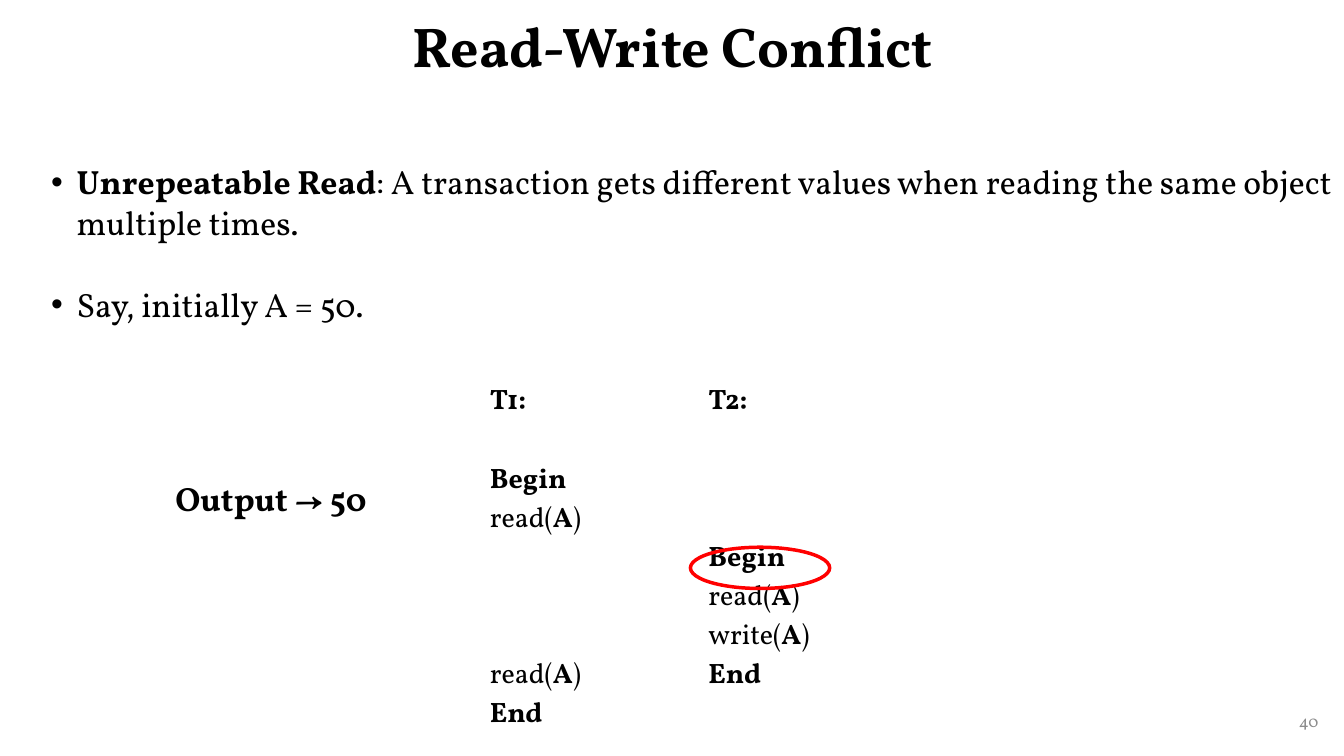
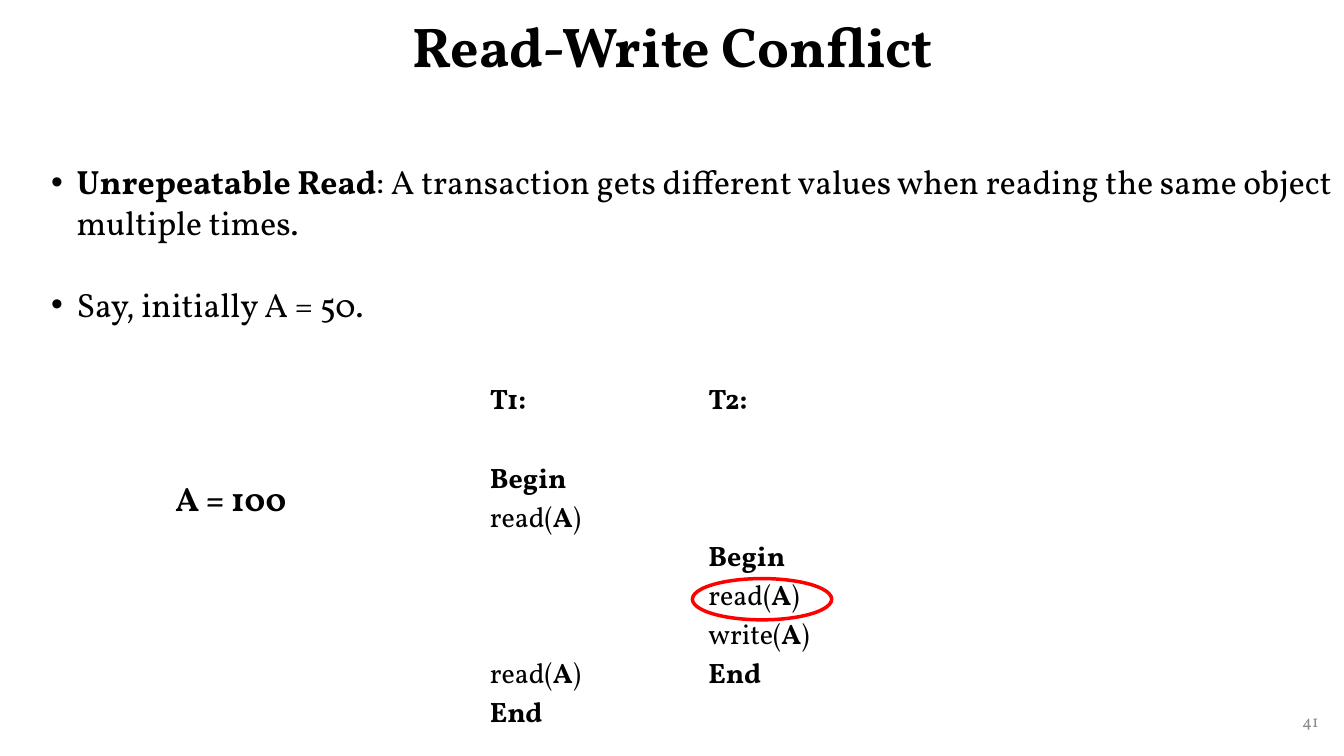
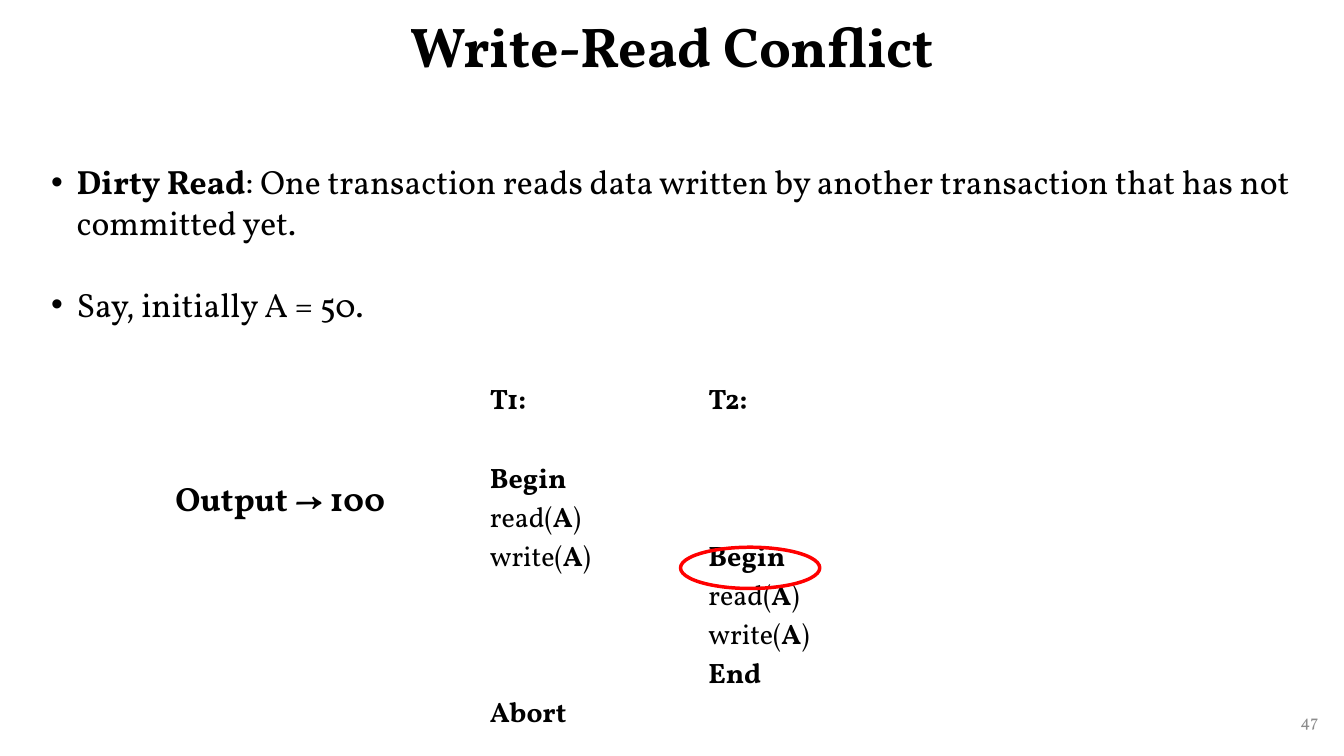
from lxml import etree
from pptx import Presentation
from pptx.dml.color import RGBColor
from pptx.enum import shapes, text
from pptx.oxml import ns
from pptx.util import Cm, Pt

HUES = {"ink": "000000", "page": "8C8C8C", "ring": "FF0000"}
FONT = "Vollkorn"
PITCH = 27.9
PLAIN = "{2D5ABB26-0587-4C30-8999-92F81FD0307C}"
T1_READ = ["*T1:*", "", "*Begin*", "read(*A*)", "", "", "", "read(*A*)", "*End*"]
T1_WRITE = ["*T1:*", "", "*Begin*", "read(*A*)", "write(*A*)", "", "", "", "*Abort*"]
T2 = ["*T2:*", "", "", "", "*Begin*", "read(*A*)", "write(*A*)", "*End*"]
REPEAT = "*Unrepeatable Read*: A transaction gets different values when reading the same object multiple times."
DIRTY = "*Dirty Read*: One transaction reads data written by another transaction that has not committed yet."
START = "Say, initially A = 50."


def hue(name):
    """Return the named colour."""
    return RGBColor.from_string(HUES[name])


def write(par, words, size, tone="ink"):
    """Fill a paragraph, with words between asterisks in bold."""
    par.font.name, par.font.size = FONT, Pt(size)
    par.font.color.rgb = hue(tone)
    for i, part in enumerate(words.split("*")):
        if part:
            run = par.add_run()
            run.text, run.font.bold = part, i % 2 == 1


def frame(slide, box, anchor=text.MSO_ANCHOR.TOP):
    """Add a wrapping text box and return its text frame."""
    area = slide.shapes.add_textbox(*map(Cm, box)).text_frame
    area.word_wrap, area.vertical_anchor = True, anchor
    return area


def label(slide, box, words, size, align, tone="ink", lead=1.0):
    """Add one line of text centred in the height of its box."""
    par = frame(slide, box, text.MSO_ANCHOR.MIDDLE).paragraphs[0]
    par.alignment, par.line_spacing = align, lead
    write(par, words, size, tone)


def points(slide, box, lines):
    """Add the bulleted list."""
    area = frame(slide, box)
    for i, line in enumerate(lines):
        par = area.add_paragraph() if i else area.paragraphs[0]
        par.line_spacing, par.space_before = 1.0, Pt(30 if i else 4)
        write(par, line, 24)
        props = par._p.get_or_add_pPr()
        props.set("marL", str(Cm(0.64)))
        props.set("indent", str(-Cm(0.64)))
        face = etree.Element(ns.qn("a:buFont"), typeface="Arial")
        mark = etree.Element(ns.qn("a:buChar"), char="•")
        props.find(ns.qn("a:defRPr")).addprevious(face)
        face.addnext(mark)


def steps(cell, lines):
    """Write one schedule in a cell, with idle steps as spacing."""
    cell.fill.background()
    area, idle = cell.text_frame, 0
    for i, line in enumerate(lines):
        if not line:
            idle += 1
            continue
        par = area.add_paragraph() if i else area.paragraphs[0]
        par.space_before = Pt(idle * PITCH)
        write(par, line, 20)
        idle = 0


def plan(slide, box, cols):
    """Add the borderless table of schedules side by side."""
    grid = slide.shapes.add_table(1, len(cols), *map(Cm, box)).table
    grid.first_row = grid.horz_banding = False
    grid._tbl.tblPr.find(ns.qn("a:tableStyleId")).text = PLAIN
    for i, (wide, lines) in enumerate(cols):
        grid.columns[i].width = Cm(wide)
        steps(grid.cell(0, i), lines)


def ring(slide, left, top):
    """Circle the current step."""
    oval = slide.shapes.add_shape(shapes.MSO_SHAPE.OVAL, Cm(left), Cm(top), Cm(3.51), Cm(1.04))
    oval.shadow.inherit = False
    oval.fill.background()
    oval.line.color.rgb, oval.line.width = hue("ring"), Pt(2.5)


def build(deck, title, page, rule, first, spot, state):
    """Add one conflict slide."""
    slide = deck.slides.add_slide(deck.slide_layouts[6])
    label(slide, (2.34, 0, 29.21, 2.51), f"*{title}*", 40, text.PP_ALIGN.CENTER, lead=0.9)
    label(slide, (25.86, 17.65, 7.62, 1.02), page, 12, text.PP_ALIGN.RIGHT, "page")
    points(slide, (1.04, 3.94, 32.82, 4.93), [rule, START])
    plan(slide, (12.09, 9.53, 10.72, 9.2), [(5.51, first), (5.21, T2)])
    ring(slide, *spot)
    write(frame(slide, (4.17, 11.91, 6.68, 1.27)).paragraphs[0], f"*{state}*", 24)


def main():
    """Build and save the deck."""
    deck = Presentation()
    deck.slide_width, deck.slide_height = Cm(33.87), Cm(19.05)
    build(deck, "Read-Write Conflict", "40", REPEAT, T1_READ, (17.4, 13.79), "Output → 50")
    build(deck, "Read-Write Conflict", "41", REPEAT, T1_READ, (17.45, 14.58), "A = 100")
    build(deck, "Write-Read Conflict", "47", DIRTY, T1_WRITE, (17.15, 13.79), "Output → 100")
    deck.save("out.pptx")


if __name__ == "__main__":
    main()
